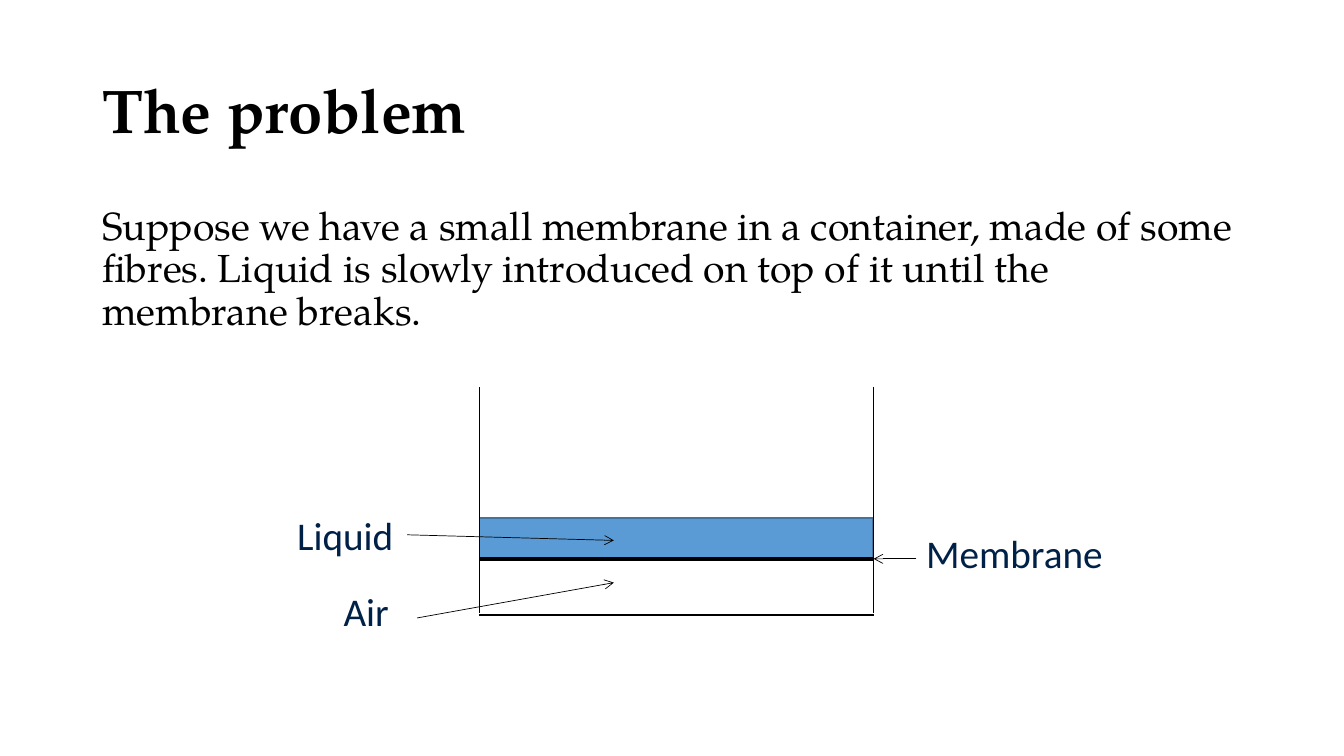
from lxml.etree import SubElement
from pptx import Presentation
from pptx.dml.color import RGBColor
from pptx.enum.shapes import MSO_CONNECTOR, MSO_SHAPE
from pptx.enum.text import MSO_ANCHOR, MSO_AUTO_SIZE
from pptx.oxml.ns import qn
from pptx.util import Pt

BLACK = RGBColor(0x00, 0x00, 0x00)
NAVY = RGBColor(0x00, 0x21, 0x47)
LIQUID_BLUE = RGBColor(0x5B, 0x9B, 0xD5)
LIQUID_EDGE = RGBColor(0x43, 0x73, 0x9E)


def write(frame, text, font="Calibri", size=28, color=NAVY, bold=False,
          line_spacing=None, space_before=None):
    """Put formatted text into the first paragraph of a text frame."""
    paragraph = frame.paragraphs[0]
    paragraph.line_spacing = line_spacing
    if space_before is not None:
        paragraph.space_before = Pt(space_before)
    run = paragraph.add_run()
    run.text = text
    run.font.name = font
    run.font.size = Pt(size)
    run.font.bold = bold
    run.font.color.rgb = color


class Sketch:
    """Holds the slide and its style; all lengths are in points."""

    serif = "TeX Gyre Pagella"
    wall_width = 1.25
    arrow_width = 0.5

    def __init__(self, slide):
        self.shapes = slide.shapes

    def box(self, left, top, width, height):
        return self.shapes.add_textbox(Pt(left), Pt(top), Pt(width), Pt(height))

    def prose(self, text, top, height, anchor=MSO_ANCHOR.TOP, **style):
        frame = self.box(66, top, 828, height).text_frame
        frame.word_wrap = True
        frame.vertical_anchor = anchor
        write(frame, text, font=self.serif, color=BLACK, line_spacing=0.9, **style)

    def label(self, text, left, top, width):
        box = self.box(left, top, width, 41.2)
        box.text_frame.word_wrap = False
        box.text_frame.auto_size = MSO_AUTO_SIZE.SHAPE_TO_FIT_TEXT
        write(box.text_frame, text)
        return box

    def block(self, left, top, width, height, fill, edge):
        block = self.shapes.add_shape(
            MSO_SHAPE.RECTANGLE, Pt(left), Pt(top), Pt(width), Pt(height))
        block.shadow.inherit = False
        block.fill.solid()
        block.fill.fore_color.rgb = fill
        block.line.color.rgb = edge
        block.line.width = Pt(1)

    def line(self, x1, y1, x2, y2, width=wall_width):
        line = self.shapes.add_connector(
            MSO_CONNECTOR.STRAIGHT, Pt(x1), Pt(y1), Pt(x2), Pt(y2))
        line.line.color.rgb = BLACK
        line.line.width = Pt(width)
        SubElement(line._element.spPr, qn("a:effectLst"))
        return line

    def arrow(self, x1, y1, x2, y2):
        arrow = self.line(x1, y1, x2, y2, self.arrow_width)
        SubElement(arrow.line._get_or_add_ln(), qn("a:tailEnd"), type="arrow")
        return arrow


def main():
    prs = Presentation()
    prs.slide_width, prs.slide_height = Pt(960), Pt(540)
    sketch = Sketch(prs.slides.add_slide(prs.slide_layouts[6]))

    # Title and statement
    sketch.prose("The problem", 28.8, 104.4, MSO_ANCHOR.MIDDLE, size=44, bold=True)
    sketch.prose("Suppose we have a small membrane in a container, made of some "
                 "fibres. Liquid is slowly introduced on top of it until the "
                 "membrane breaks.", 144, 342.7, space_before=10)

    # Container with liquid resting on the membrane
    left, right = 342.5, 624
    rim, membrane, floor = 276.5, 399.2, 439.2
    sketch.block(left, 370, right - left - 0.5, 29.2, LIQUID_BLUE, LIQUID_EDGE)
    sketch.line(left, membrane, right - 0.5, membrane, width=3)
    for wall in (left, right):
        sketch.line(wall, rim, wall, floor - 1.4)
    sketch.line(left, floor, right, floor)

    # Labels and their arrows
    sketch.label("Air", 238.3, 416.2, 49)
    liquid_label = sketch.label("Liquid", 205.2, 361.4, 85.7)
    sketch.label("Membrane", 654.5, 374.4, 143.3)
    sketch.arrow(654.5, membrane, right, membrane)
    liquid_arrow = sketch.arrow(290.9, 382, 438.5, 386)
    liquid_arrow.begin_connect(liquid_label, 3)
    sketch.arrow(298, 441.4, 438.5, 416.2)

    prs.save("out.pptx")


if __name__ == "__main__":
    main()
